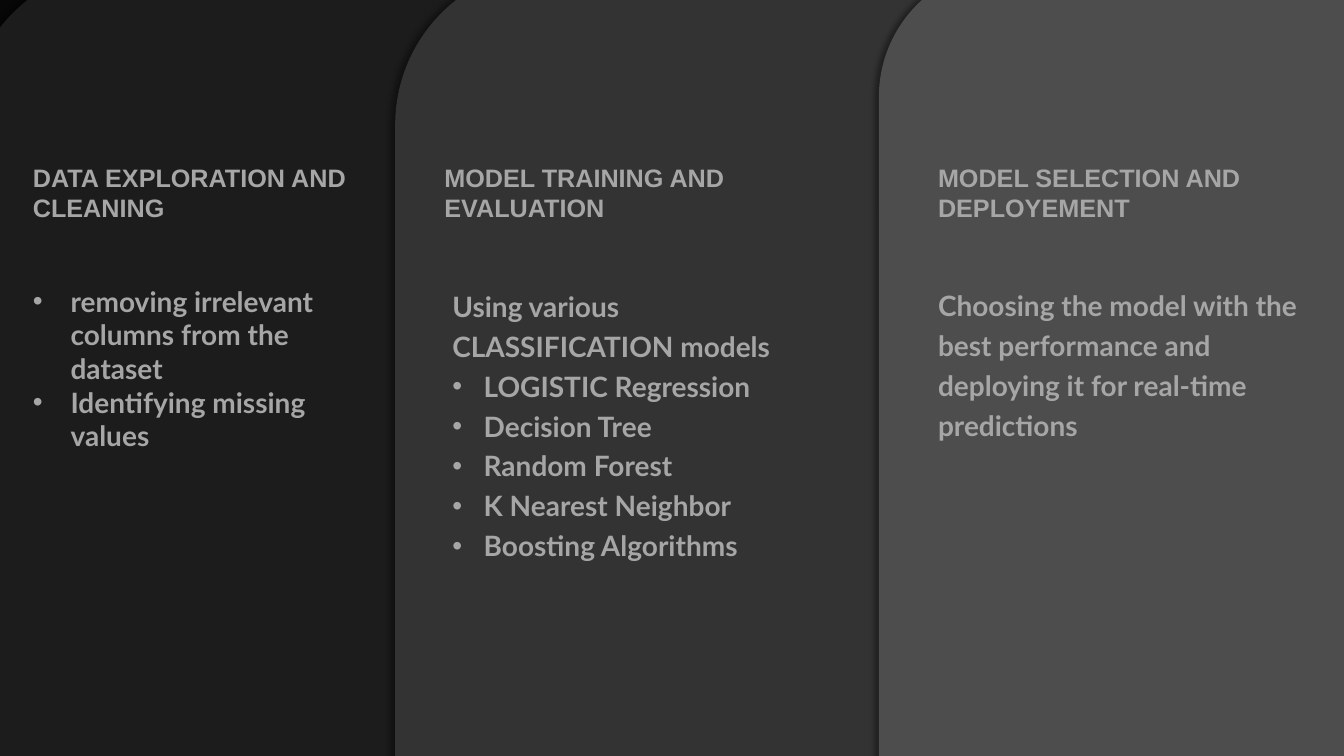
from dataclasses import dataclass

from lxml import etree
from pptx import Presentation
from pptx.dml.color import RGBColor
from pptx.enum.shapes import MSO_SHAPE
from pptx.enum.text import MSO_AUTO_SIZE
from pptx.oxml.ns import qn
from pptx.slide import Slide
from pptx.util import Cm, Pt

ROUNDED = MSO_SHAPE.ROUNDED_RECTANGLE
GROW = MSO_AUTO_SIZE.SHAPE_TO_FIT_TEXT
COLORS = {"background": "070707", "text": "A6A6A6", "shadow": "000000"}
HEADING_FONT = {"name": "Arial", "size": Pt(18), "bold": True}
BODY_FONT = {"name": "Lato", "size": Pt(20), "bold": True}
PANEL_TOP, PANEL_HEIGHT = -0.84, 23.9
HEADING_TOP = 3.96


@dataclass
class TextBlock:
    """Box in centimetres, with plain lines followed by bulleted ones."""
    left: float
    top: float
    width: float
    height: float
    plain: tuple[str, ...] = ()
    bullets: tuple[str, ...] = ()
    indent: float = 0
    line_spacing: float | None = None


@dataclass
class Stage:
    color: str
    panel_left: float
    panel_width: float
    heading: TextBlock
    body: TextBlock


STAGES = [
    Stage("1C1C1C", -0.84, 37.13,
          TextBlock(0.58, HEADING_TOP, 8.99, 2.57, ("DATA EXPLORATION AND CLEANING",)),
          TextBlock(0.58, 7.04, 8.74, 6.15,
                    bullets=("removing irrelevant columns from the dataset",
                             "Identifying missing values"),
                    indent=0.95)),
    Stage("333333", 9.96, 31.83,
          TextBlock(10.95, HEADING_TOP, 10.24, 1.8, ("MODEL TRAINING AND EVALUATION",)),
          TextBlock(11.15, 7.01, 10.24, 8.26,
                    ("Using various CLASSIFICATION models",),
                    ("LOGISTIC Regression", "Decision Tree", "Random Forest",
                     "K Nearest Neighbor", "Boosting Algorithms"),
                    0.79, 28.5)),
    Stage("4D4D4D", 22.15, 19.66,
          TextBlock(23.39, HEADING_TOP, 11.48, 1.8, ("MODEL SELECTION AND DEPLOYEMENT",)),
          TextBlock(23.39, 6.99, 9.88, 6.2,
                    ("Choosing the model with the best performance and "
                     "deploying it for real-time predictions",),
                    line_spacing=28.5)),
]


def add_panel(slide: Slide, stage: Stage) -> None:
    panel = slide.shapes.add_shape(ROUNDED, Cm(stage.panel_left), Cm(PANEL_TOP),
                                   Cm(stage.panel_width), Cm(PANEL_HEIGHT))
    panel.fill.solid()
    panel.fill.fore_color.rgb = RGBColor.from_string(stage.color)
    panel.line.fill.background()

    # Soft shadow cast to the left
    panel.shadow.inherit = False
    effects = panel.element.spPr.find(qn("a:effectLst"))
    shadow = etree.SubElement(effects, qn("a:outerShdw"), blurRad=str(Pt(4)),
                              dist=str(Pt(3)), dir="10800000", algn="r", rotWithShape="0")
    shade = etree.SubElement(shadow, qn("a:srgbClr"), val=COLORS["shadow"])
    etree.SubElement(shade, qn("a:alpha"), val="40000")


def add_text(slide: Slide, block: TextBlock, font: dict) -> None:
    box = slide.shapes.add_textbox(Cm(block.left), Cm(block.top),
                                   Cm(block.width), Cm(block.height))
    frame = box.text_frame
    frame.word_wrap = True
    frame.auto_size = GROW
    lines = block.plain + block.bullets
    for index, line in enumerate(lines):
        paragraph = frame.add_paragraph() if index else frame.paragraphs[0]
        if block.line_spacing:
            paragraph.line_spacing = Pt(block.line_spacing)
        run = paragraph.add_run()
        run.text = line
        for attribute, value in font.items():
            setattr(run.font, attribute, value)
        run.font.color.rgb = RGBColor.from_string(COLORS["text"])

        # Hanging bullet
        if index >= len(block.plain):
            properties = paragraph._p.get_or_add_pPr()
            properties.set("marL", str(Cm(block.indent)))
            properties.set("indent", str(-Cm(block.indent)))
            etree.SubElement(properties, qn("a:buFont"), typeface="Arial")
            etree.SubElement(properties, qn("a:buChar"), char="•")


def main() -> None:
    presentation = Presentation()
    presentation.slide_width, presentation.slide_height = Cm(33.87), Cm(19.05)
    slide = presentation.slides.add_slide(presentation.slide_layouts[6])
    slide.background.fill.solid()
    slide.background.fill.fore_color.rgb = RGBColor.from_string(COLORS["background"])

    # Overlapping panels, then headings and bodies on top
    for stage in STAGES:
        add_panel(slide, stage)
    for stage in STAGES:
        add_text(slide, stage.heading, HEADING_FONT)
    for stage in STAGES:
        add_text(slide, stage.body, BODY_FONT)

    presentation.save("out.pptx")


if __name__ == "__main__":
    main()
